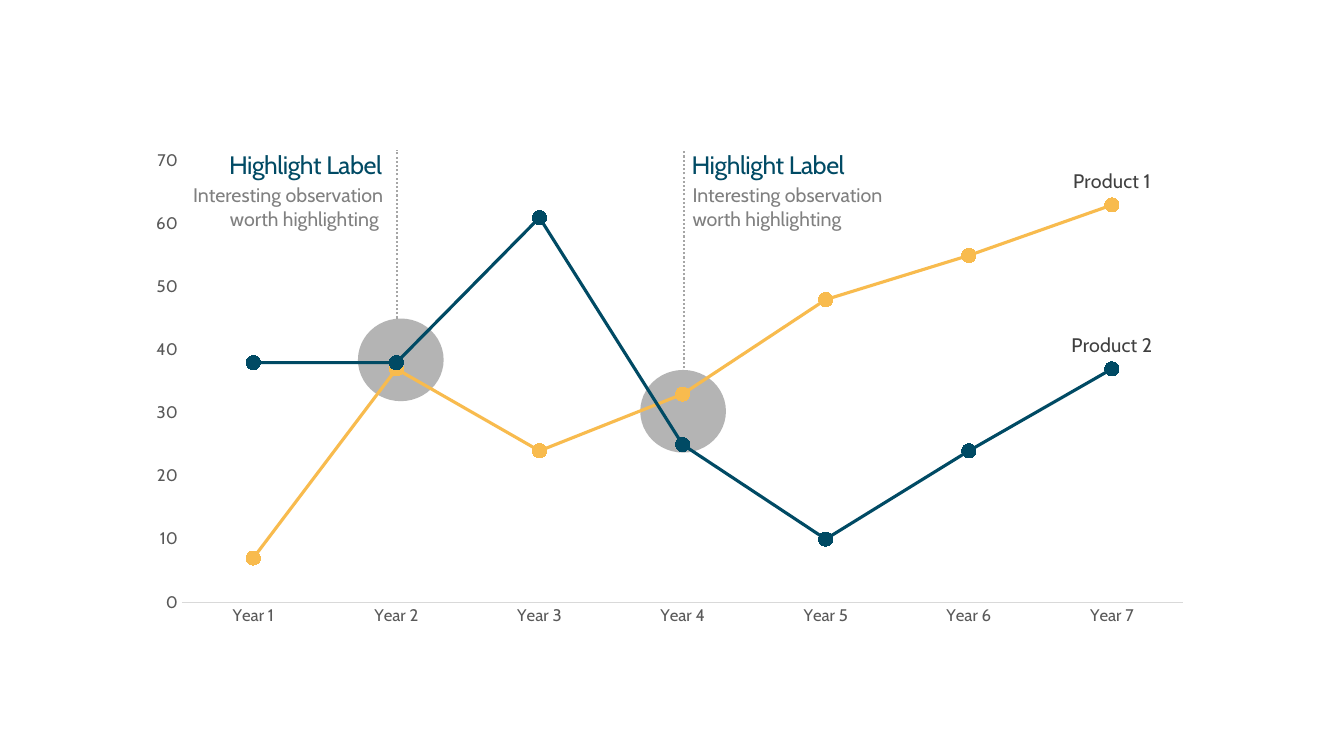
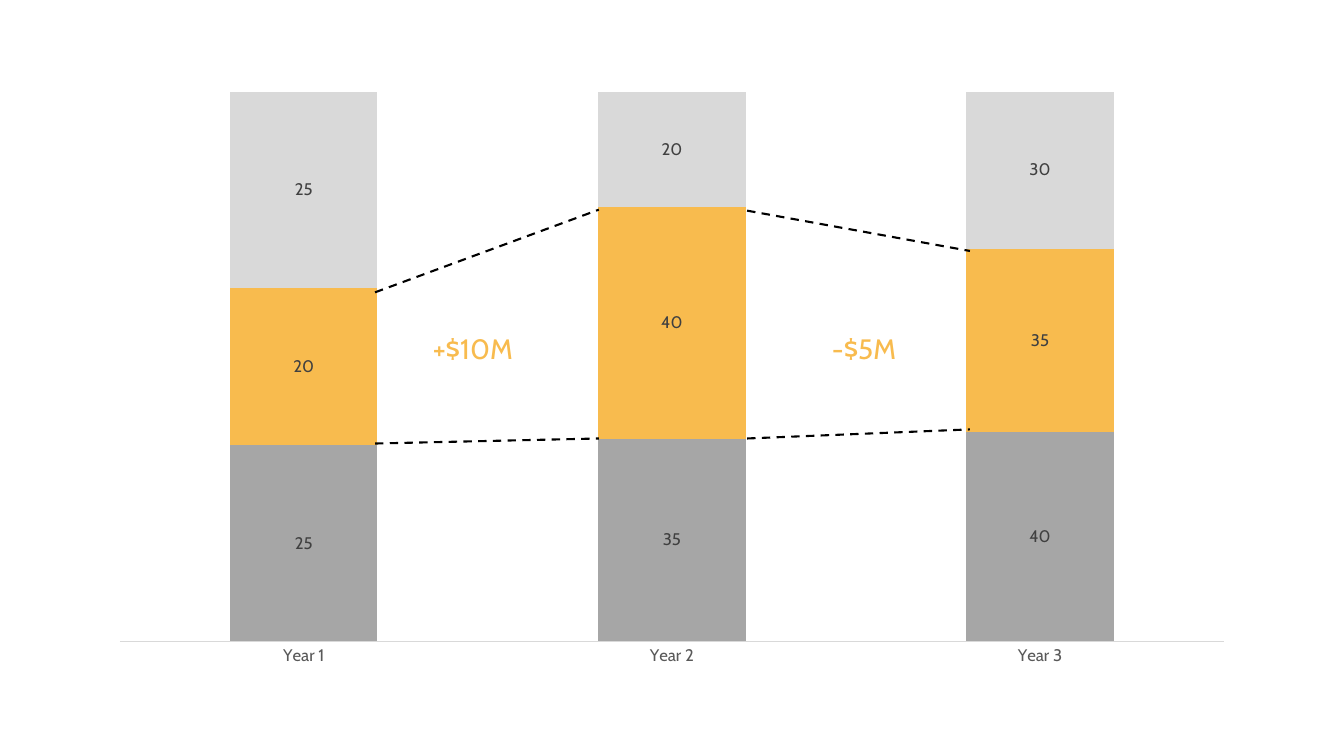
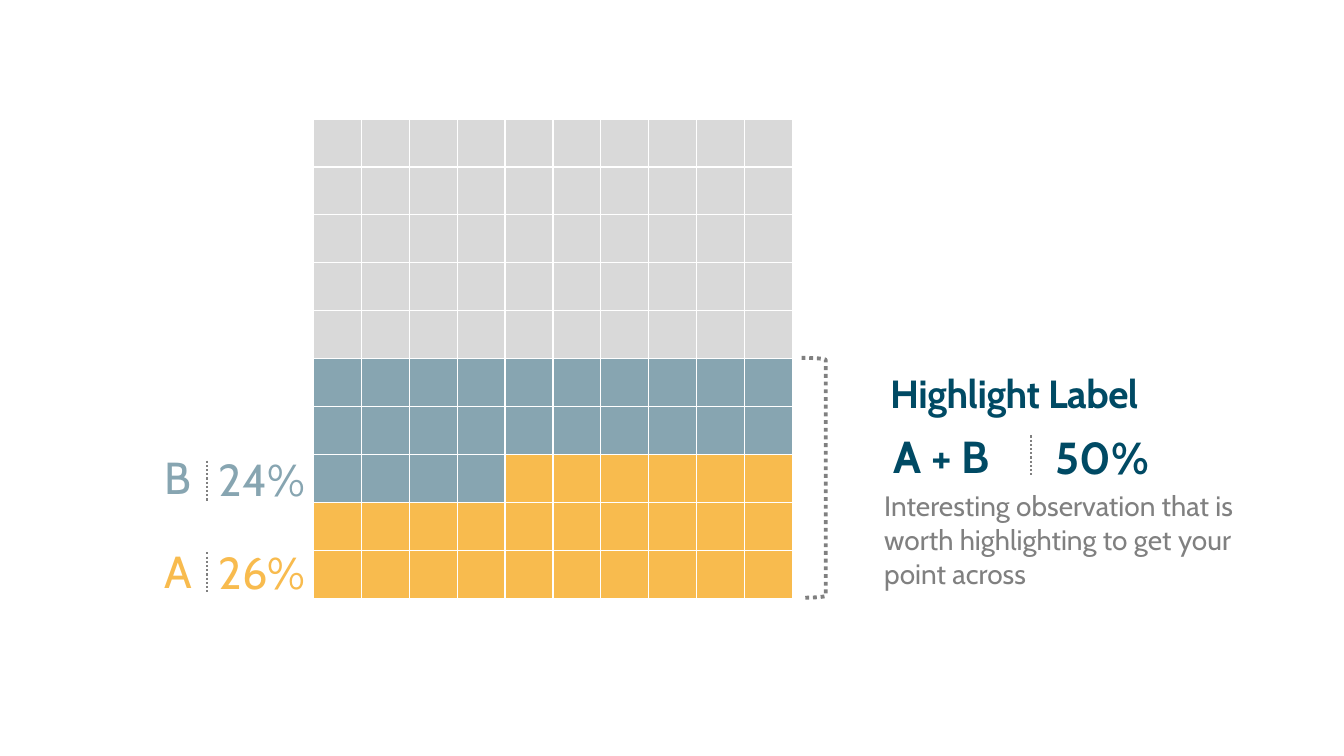
from lxml import etree
from pptx import Presentation
from pptx.chart.data import CategoryChartData
from pptx.dml.color import RGBColor
from pptx.enum import chart as charts, dml, shapes, text
from pptx.oxml import parse_xml
from pptx.oxml.ns import nsdecls, qn
from pptx.util import Pt

# Shared style: 100 px to the inch
PX = 9144
FONT = "Cabin"
COLORS = {
    "navy": "004A64", "amber": "F8BB4E", "steel": "87A5B1", "black": "000000",
    "ink": "404040", "axis": "595959", "body": "808080", "gray": "A6A6A6",
    "light": "D9D9D9", "white": "FFFFFF",
}
LEFT, CENTER, RIGHT = text.PP_ALIGN.LEFT, text.PP_ALIGN.CENTER, text.PP_ALIGN.RIGHT
TOP, MIDDLE, BOTTOM = text.MSO_ANCHOR.TOP, text.MSO_ANCHOR.MIDDLE, text.MSO_ANCHOR.BOTTOM
DOTS, DASHES = dml.MSO_LINE.ROUND_DOT, dml.MSO_LINE.DASH

# Slide 1 content
TREND = {
    "kind": charts.XL_CHART_TYPE.LINE_MARKERS,
    "at": (138, 140, 1057, 492),
    "plot": (0.04, 0.04, 0.94, 0.89),
    "categories": [f"Year {n}" for n in range(1, 8)],
    "series": [
        ("Product 1", (7, 37, 24, 33, 48, 55, 63), "amber"),
        ("Product 2", (38, 38, 61, 25, 10, 24, 37), "navy"),
    ],
}
CIRCLES = [(355, 316), (635, 367)]
CIRCLE_SIZE = (85, 82)
MARKER_LINES = [(678, 365, 678, 149), (394, 316, 394, 149)]
HIGHLIGHTS = [  # label left, note left, note, alignment
    (666, 677, "Interesting observation worth highlighting", LEFT),
    (134, 171, "Interesting observation worth highlighting ", RIGHT),
]

# Slide 2 content
SHARE = {
    "kind": charts.XL_CHART_TYPE.COLUMN_STACKED_100,
    "at": (96, 79, 1141, 593),
    "plot": (0.02, 0.02, 0.96, 0.92),
    "categories": ["Year 1", "Year 2", "Year 3"],
    "series": [
        ("Series 1", (25, 35, 40), "gray"),
        ("Series 2", (20, 40, 35), "amber"),
        ("Series 3", (25, 20, 30), "light"),
    ],
}
CHANGES = [(418, "+$10M"), (806, "-$5M")]
BRIDGES = [(372, 290, 594, 208), (372, 440, 594, 435),
           (741, 209, 962, 249), (741, 435, 962, 426)]

# Slide 3 content
GRID_AT = (311, 118, 475, 476)
GRID_COUNT = 10
PARTS = [("A", 26, "amber", 534), ("B", 24, "steel", 441)]  # name, percent, color, top
DIVIDERS = [(1023, 432), (205, 457), (205, 548)]
DIVIDER_HEIGHT = 40


def rgb(name):
    return RGBColor.from_string(COLORS[name])


def emu(*lengths):
    return [round(length * PX) for length in lengths]


def set_font(font, size, color, bold=False):
    font.name, font.size, font.bold = FONT, Pt(size), bold
    font.color.rgb = rgb(color)


def add_text(page, at, words, size=14, color="body", bold=False, align=LEFT,
             anchor=TOP, inset=(10, 5), spacing=None, line_spacing=None):
    box = page.shapes.add_textbox(*emu(*at))
    frame = box.text_frame
    frame.word_wrap = True
    frame.auto_size = text.MSO_AUTO_SIZE.SHAPE_TO_FIT_TEXT
    frame.vertical_anchor = anchor
    frame.margin_left = frame.margin_right = inset[0] * PX
    frame.margin_top = frame.margin_bottom = inset[1] * PX
    para = frame.paragraphs[0]
    para.alignment = align
    if line_spacing:
        para.line_spacing = line_spacing
    span = para.add_run()
    span.text = words
    set_font(span.font, size, color, bold)
    if spacing:
        span.font._element.set("spc", str(round(spacing * 100)))
    return box


def style_line(line, color, width, dash):
    line.color.rgb = rgb(color)
    line.width = Pt(width)
    line.dash_style = dash


def add_line(page, ends, color, width, dash):
    line = page.shapes.add_connector(shapes.MSO_CONNECTOR.STRAIGHT, *emu(*ends))
    style_line(line.line, color, width, dash)
    etree.SubElement(line._element.spPr, qn("a:effectLst"))


def add_chart(page, content):
    data = CategoryChartData()
    data.categories = content["categories"]
    for name, values, _ in content["series"]:
        data.add_series(name, values)
    chart = page.shapes.add_chart(content["kind"], *emu(*content["at"]), data).chart
    chart.has_legend = chart.has_title = False
    set_font(chart.font, 10, "black")
    chart.plots[0].vary_by_categories = False

    # Axes
    category, value = chart.category_axis, chart.value_axis
    value.has_major_gridlines = False
    for axis in (category, value):
        axis.major_tick_mark = axis.minor_tick_mark = charts.XL_TICK_MARK.NONE
        set_font(axis.tick_labels.font, 12, "axis")
    category.format.line.color.rgb = rgb("light")
    category.format.line.width = Pt(0.75)
    value.format.line.fill.background()
    value.minimum_scale = 0

    # Plot area position
    area = chart._chartSpace.chart.plotArea
    for layout in area.findall(qn("c:layout")):
        area.remove(layout)
    sides = "".join(f'<c:{side} val="{share}"/>'
                    for side, share in zip("xywh", content["plot"]))
    area.insert(0, parse_xml(
        f'<c:layout {nsdecls("c")}><c:manualLayout><c:layoutTarget val="inner"/>'
        f'<c:xMode val="edge"/><c:yMode val="edge"/>{sides}</c:manualLayout></c:layout>'))
    return chart


def label_last_point(series, count):
    series.data_labels.show_value = False
    label = series.points[count - 1].data_label
    set_font(label.font, 14, "ink")
    label.position = charts.XL_LABEL_POSITION.ABOVE
    for flag, shown in (("showVal", "0"), ("showSerName", "1")):
        series._element.xpath(f".//c:dLbl/c:{flag}")[0].set("val", shown)


def build_trend(page):
    for at in CIRCLES:
        circle = page.shapes.add_shape(shapes.MSO_SHAPE.OVAL, *emu(*at, *CIRCLE_SIZE))
        circle.shadow.inherit = False
        circle.line.fill.background()
        circle.fill.solid()
        circle.fill.fore_color.rgb = rgb("gray")
        tint = circle._element.spPr.find(".//" + qn("a:srgbClr"))
        etree.SubElement(tint, qn("a:alpha")).set("val", "84000")

    chart = add_chart(page, TREND)
    chart.value_axis.maximum_scale = 70
    chart.value_axis.major_unit = 10
    for series, (_, values, color) in zip(chart.plots[0].series, TREND["series"]):
        series.smooth = False
        series.format.line.color.rgb = rgb(color)
        series.format.line.width = Pt(2.25)
        marker = series.marker
        marker.style, marker.size = charts.XL_MARKER_STYLE.CIRCLE, 10
        marker.format.fill.solid()
        marker.format.fill.fore_color.rgb = rgb(color)
        marker.format.line.color.rgb = rgb(color)
        label_last_point(series, len(values))

    for ends in MARKER_LINES:
        add_line(page, ends, "gray", 1.5, DOTS)
    for label_left, note_left, note, align in HIGHLIGHTS:
        add_text(page, (label_left, 128, 265, 71), "Highlight Label", size=18, color="navy",
                 align=align, anchor=MIDDLE, inset=(20, 20), spacing=-0.3)
        add_text(page, (note_left, 177, 219, 57), note, align=align)


def build_share(page):
    chart = add_chart(page, SHARE)
    chart.value_axis.visible = False
    chart.value_axis.maximum_scale = 1
    chart.value_axis.major_unit = 0.25
    plot = chart.plots[0]
    plot.gap_width, plot.overlap = 150, 100
    for series, (_, _, color) in zip(plot.series, SHARE["series"]):
        series.format.fill.solid()
        series.format.fill.fore_color.rgb = rgb(color)
        labels = series.data_labels
        labels.show_value = True
        labels.number_format, labels.number_format_is_linked = "#,##0", False
        set_font(labels.font, 12, "ink")

    for left, change in CHANGES:
        add_text(page, (left, 331, 102, 32), change, size=20, color="amber", align=CENTER,
                 anchor=MIDDLE, inset=(0, 0), line_spacing=0.96)
    for ends in BRIDGES:
        add_line(page, ends, "black", 1.5, DASHES)


def add_grid(page):
    table = page.shapes.add_table(GRID_COUNT, GRID_COUNT, *emu(*GRID_AT)).table
    table.first_row = table.horz_banding = False
    # Squares fill from the bottom right, one per percent
    fills = [color for _, percent, color, _ in PARTS for _ in range(percent)]
    fills += ["light"] * (GRID_COUNT ** 2 - len(fills))
    squares = reversed(list(table.iter_cells()))
    for cell, color in zip(squares, fills):
        properties = cell._tc.get_or_add_tcPr()
        for side in "LRTB":
            properties.append(parse_xml(
                f'<a:ln{side} {nsdecls("a")} w="12700"><a:solidFill>'
                f'<a:srgbClr val="{COLORS["white"]}"/></a:solidFill></a:ln{side}>'))
        cell.fill.solid()
        cell.fill.fore_color.rgb = rgb(color)


def build_grid(page):
    add_grid(page)
    for name, percent, color, top in PARTS:
        add_text(page, (153, top, 106, 64), name, size=32, color=color)
        add_text(page, (207, top + 2, 198, 64), f"{percent}%", size=32, color=color)

    bracket = page.shapes.add_shape(shapes.MSO_SHAPE.RIGHT_BRACKET, *emu(795, 355, 24, 238))
    bracket.shadow.inherit = False
    bracket.fill.background()
    style_line(bracket.line, "body", 2.75, DOTS)

    # Highlight beside the bracket
    total = sum(percent for _, percent, _, _ in PARTS)
    add_text(page, (883, 366, 260, 47), "Highlight Label", size=28, color="navy", bold=True,
             anchor=BOTTOM, inset=(0, 0), spacing=-0.3)
    add_text(page, (876, 420, 188, 64), "A + B", size=32, color="navy", bold=True)
    add_text(page, (1037, 421, 198, 64), f"{total}%", size=32, color="navy", bold=True)
    add_text(page, (877, 485, 397, 101),
             "Interesting observation that is worth highlighting to get your point across",
             size=20, inset=(0, 0))
    for left, top in DIVIDERS:
        add_line(page, (left, top, left, top + DIVIDER_HEIGHT), "body", 1.5, DOTS)


def main():
    deck = Presentation()
    deck.slide_width, deck.slide_height = emu(1333, 750)
    blank = deck.slide_layouts[6]
    for build in (build_trend, build_share, build_grid):
        build(deck.slides.add_slide(blank))
    deck.save("out.pptx")


if __name__ == "__main__":
    main()
